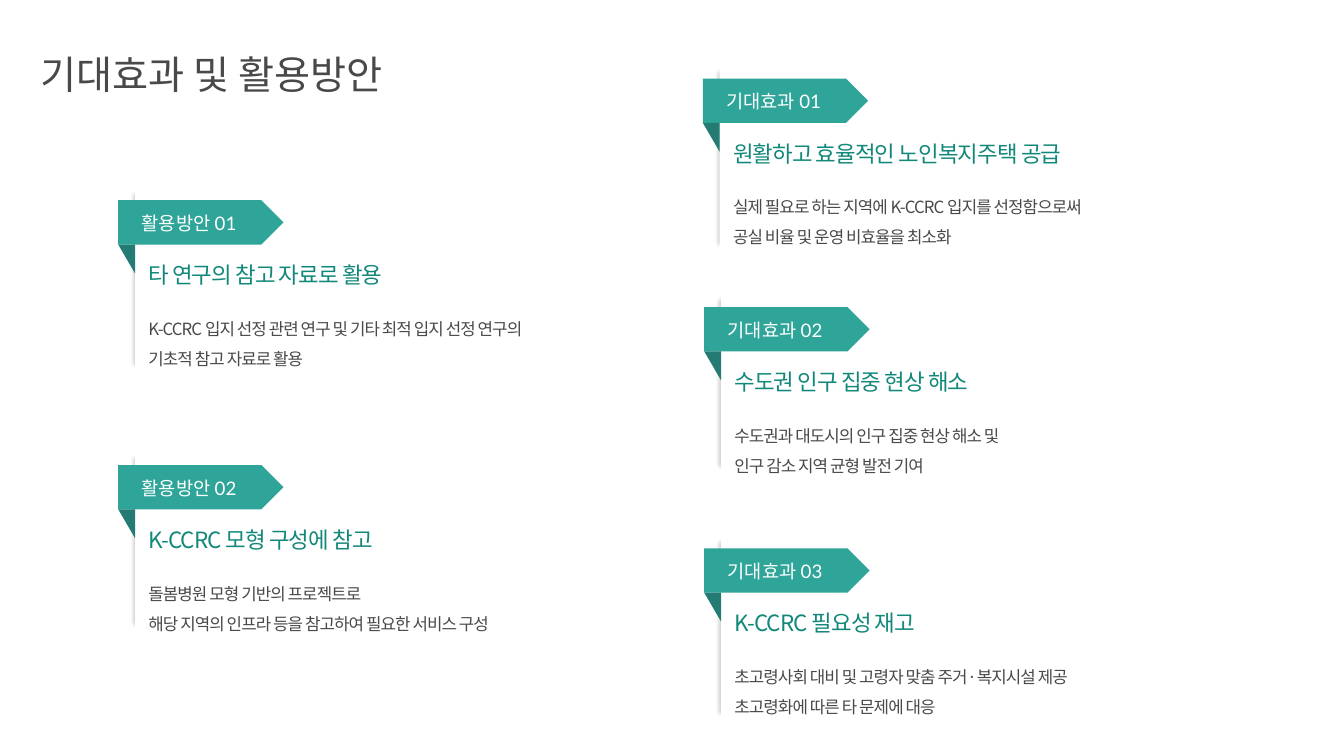
from lxml import etree
from pptx import Presentation
from pptx.dml.color import RGBColor
from pptx.enum.shapes import MSO_SHAPE as Preset
from pptx.enum.text import MSO_ANCHOR as Anchor, MSO_AUTO_SIZE as AutoSize, PP_ALIGN as Align
from pptx.oxml.ns import qn
from pptx.util import Inches, Pt

WHITE = RGBColor(0xFF, 0xFF, 0xFF)
BLACK = RGBColor(0x00, 0x00, 0x00)
TEAL = RGBColor(0x2F, 0xA5, 0x99)
FOLD_TEAL = RGBColor(0x23, 0x7B, 0x73)
HEADING_TEAL = RGBColor(0x12, 0x88, 0x7A)
GRAY = RGBColor(0x49, 0x49, 0x49)
KOREAN_FONT = "Noto Sans CJK KR"

CARDS = [
    (10.46, 0.96, 2.78, 5.44, 6.41, "기대효과 01", "원활하고 효율적인 노인복지주택 공급",
     ["실제 필요로 하는 지역에 K-CCRC 입지를 선정함으로써", "공실 비율 및 운영 비효율을 최소화"]),
    (10.48, 4.36, 2.69, 4.05, 5.12, "기대효과 02", "수도권 인구 집중 현상 해소",
     ["수도권과 대도시의 인구 집중 현상 해소 및", "인구 감소 지역 균형 발전 기여"]),
    (1.76, 6.71, 2.69, 6.59, 5.64, "활용방안 02", "K-CCRC 모형 구성에 참고",
     ["돌봄병원 모형 기반의 프로젝트로", "해당 지역의 인프라 등을 참고하여 필요한 서비스 구성"]),
    (10.48, 7.95, 2.78, 4.05, 6.59, "기대효과 03", "K-CCRC 필요성 재고",
     ["초고령사회 대비 및 고령자 맞춤 주거·복지시설 제공", "초고령화에 따른 타 문제에 대응"]),
    (1.76, 2.77, 2.78, 7.08, 6.31, "활용방안 01", "타 연구의 참고 자료로 활용",
     ["K-CCRC 입지 선정 관련 연구 및 기타 최적 입지 선정 연구의", "기초적 참고 자료로 활용"]),
]


def add_run(paragraph, text, size, font_name, color, spacing=0):
    """Add one formatted run, with letter spacing in points."""
    run = paragraph.add_run()
    run.text = text
    run.font.size = Pt(size)
    run.font.name = font_name
    run.font.color.rgb = color
    properties = run.font._element
    if spacing:
        properties.set("spc", str(spacing * 100))
    east_asian = etree.Element(qn("a:ea"), typeface=KOREAN_FONT)
    properties.find(qn("a:latin")).addnext(east_asian)


def add_block(shapes, preset, left, top, width, height, color):
    """Add a flat preset shape without an outline."""
    shape = shapes.add_shape(preset, Inches(left), Inches(top), Inches(width), Inches(height))
    shape.shadow.inherit = False
    shape.fill.solid()
    shape.fill.fore_color.rgb = color
    shape.line.fill.background()
    return shape


def add_text(shapes, left, top, width, height, lines, line_spacing=None, **style):
    """Add a text box with one paragraph per line."""
    box = shapes.add_textbox(Inches(left), Inches(top), Inches(width), Inches(height))
    frame = box.text_frame
    frame.word_wrap = True
    frame.auto_size = AutoSize.SHAPE_TO_FIT_TEXT
    for index, line in enumerate(lines):
        paragraph = frame.add_paragraph() if index else frame.paragraphs[0]
        paragraph.line_spacing = line_spacing
        add_run(paragraph, line, **style)


def add_soft_bar(shapes, left, top, height):
    """Add the blurred bar and the white block that hides its right half."""
    bar = add_block(shapes, Preset.RECTANGLE, left, top, 0.25, height, BLACK)
    color = bar._element.spPr.find(qn("a:solidFill"))[0]
    etree.SubElement(color, qn("a:alpha"), val="20000")
    effects = bar._element.spPr.find(qn("a:effectLst"))
    etree.SubElement(effects, qn("a:softEdge"), rad=str(Inches(0.07)))
    add_block(shapes, Preset.RECTANGLE, left + 0.12, top, 0.38, height, WHITE)


def add_card(slide, left, top, height, heading_width, body_width, label, heading, body):
    """Add a grouped ribbon card at the given corner."""
    shapes = slide.shapes.add_group_shape().shapes
    inner = left + 0.25
    text_left = left + 0.35
    add_soft_bar(shapes, left + 0.13, top, height)
    add_block(shapes, Preset.PENTAGON, left, top + 0.21, 2.46, 0.66, TEAL)
    fold = add_block(shapes, Preset.RIGHT_TRIANGLE, left, top + 0.87, 0.25, 0.43, FOLD_TEAL)
    transform = fold._element.spPr.find(qn("a:xfrm"))
    transform.set("flipH", "1")
    transform.set("flipV", "1")
    add_text(shapes, inner, top + 0.33, 1.92, 0.44, [label],
             size=20, font_name="Lato", color=WHITE)
    add_text(shapes, text_left, top + 1.07, heading_width, 0.5, [heading],
             size=24, font_name=KOREAN_FONT, color=HEADING_TEAL, spacing=-1)
    add_text(shapes, text_left, top + 1.77, body_width, 0.96, body, line_spacing=1.5,
             size=18, font_name=KOREAN_FONT, color=GRAY, spacing=-1)


def place_title(slide, left, top, width, height, text):
    """Move, fill and format the title placeholder."""
    title = slide.shapes.title
    title.left, title.top = Inches(left), Inches(top)
    title.width, title.height = Inches(width), Inches(height)
    frame = title.text_frame
    frame.word_wrap = True
    frame.auto_size = AutoSize.SHAPE_TO_FIT_TEXT
    frame.vertical_anchor = Anchor.MIDDLE
    paragraph = frame.paragraphs[0]
    paragraph.alignment = Align.LEFT
    add_run(paragraph, text, 42, "Arial", GRAY)


def main():
    """Build and save the slide."""
    presentation = Presentation()
    presentation.slide_width = Inches(20)
    presentation.slide_height = Inches(11.25)
    slide = presentation.slides.add_slide(presentation.slide_layouts[5])
    place_title(slide, 0.5, 0.69, 8.98, 0.81, "기대효과 및 활용방안")
    for card in CARDS:
        add_card(slide, *card)
    presentation.save("out.pptx")


if __name__ == "__main__":
    main()
